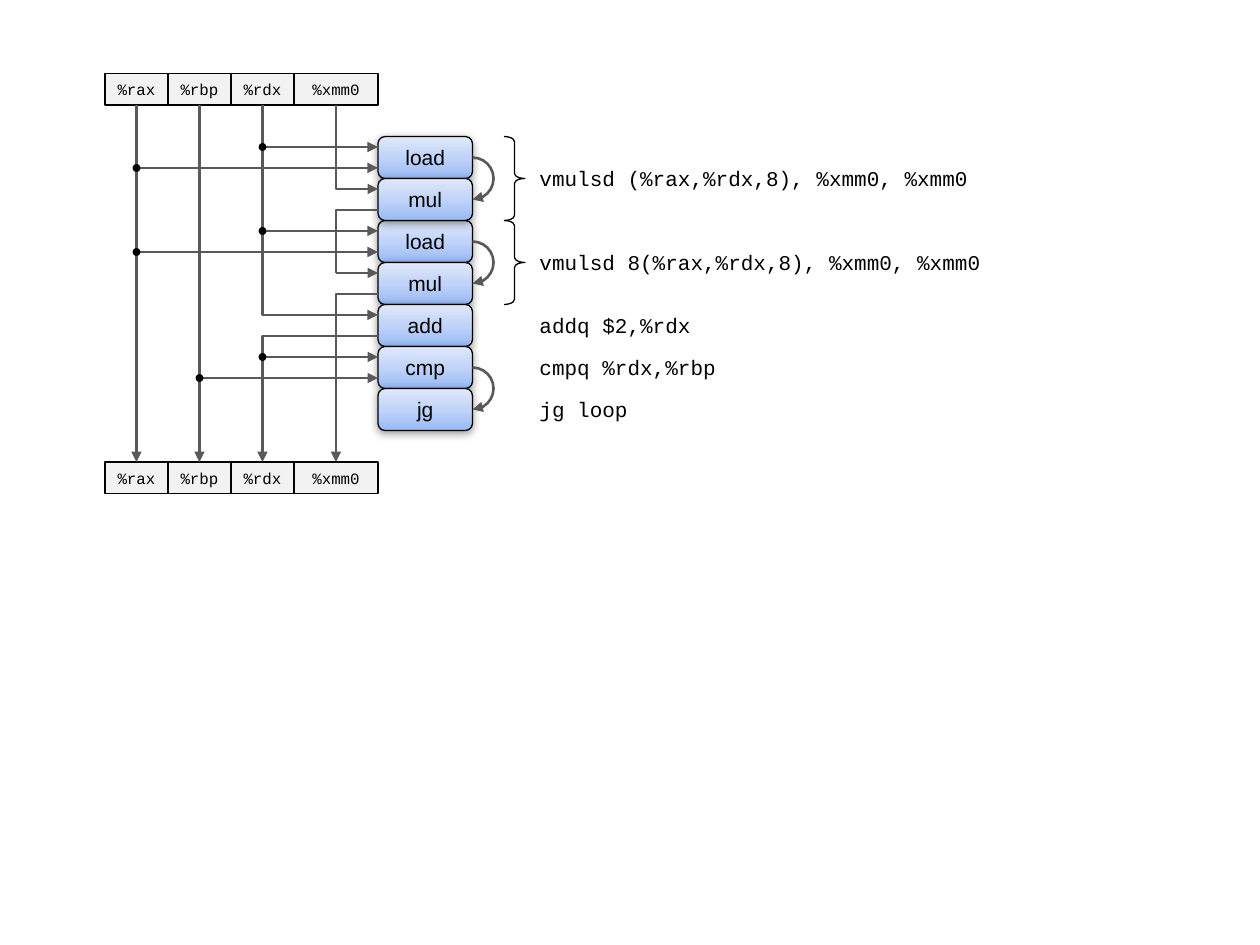
from dataclasses import dataclass

from lxml import etree
from pptx import Presentation
from pptx.dml.color import RGBColor
from pptx.enum.shapes import MSO_CONNECTOR, MSO_SHAPE
from pptx.enum.text import MSO_ANCHOR, PP_ALIGN
from pptx.oxml.ns import qn
from pptx.util import Emu, Pt

RECT, ROUND = MSO_SHAPE.RECTANGLE, MSO_SHAPE.ROUNDED_RECTANGLE
OVAL, ARC, BRACE = MSO_SHAPE.OVAL, MSO_SHAPE.ARC, MSO_SHAPE.RIGHT_BRACE
STRAIGHT, ELBOW = MSO_CONNECTOR.STRAIGHT, MSO_CONNECTOR.ELBOW
MIDDLE, CENTER, LEFT = MSO_ANCHOR.MIDDLE, PP_ALIGN.CENTER, PP_ALIGN.LEFT
BOTTOM_SITE, TOP_SITE = 2, 0

SCALE = 9525  # EMU per px, 96 px to the inch
COLORS = {"ink": "000000", "wire": "595959", "register": "F2F2F2"}
GRADIENT = {0: "98BAF6", 50: "C0D3F8", 100: "E0E9FB"}
MONO, SANS = "Courier New", "Arial"

TOP_Y, BOTTOM_Y, REG_H = 56, 352, 24
OP_X, OP_Y, OP_W, OP_H = 288, 104, 72, 32
OPS = ["load", "mul", "load", "mul", "add", "cmp", "jg"]
ARC_ROWS = [0, 2, 5]
BRACE_ROWS = [0, 2]
CODE_X = 400


@dataclass(frozen=True)
class Register:
    name: str
    x: int
    w: int

    @property
    def mid(self) -> int:
        return self.x + self.w // 2


@dataclass(frozen=True)
class Wire:
    """An elbow between the operation column at op_y and a register at reg_y."""
    reg: str
    reg_y: int
    op_y: int
    arrow: str = ""


@dataclass(frozen=True)
class Code:
    text: str
    y: int
    w: int


REGISTERS = [Register("%rax", 80, 48), Register("%rbp", 128, 48),
             Register("%rdx", 176, 48), Register("%xmm0", 224, 64)]
MID = {reg.name: reg.mid for reg in REGISTERS}
WIRES = [
    Wire("%rax", 80, 128, "headEnd"), Wire("%rax", 128, 192, "headEnd"),
    Wire("%rdx", 80, 112, "headEnd"), Wire("%rdx", 80, 176, "headEnd"),
    Wire("%rdx", 144, 240, "headEnd"), Wire("%xmm0", 80, 144, "headEnd"),
    Wire("%xmm0", 208, 160),
    Wire("%xmm0", BOTTOM_Y, 224, "tailEnd"), Wire("%rdx", BOTTOM_Y, 256, "tailEnd"),
]
BRANCHES = [("%xmm0", 208), ("%rdx", 272), ("%rbp", 288)]
DOTS = [("%rdx", 112), ("%rax", 128), ("%rdx", 176), ("%rax", 192),
        ("%rdx", 272), ("%rbp", 288)]
CODES = [Code("vmulsd (%rax,%rdx,8), %xmm0, %xmm0", 120, 352),
         Code("vmulsd 8(%rax,%rdx,8), %xmm0, %xmm0", 184, 368),
         Code("addq $2,%rdx", 232, 264), Code("cmpq %rdx,%rbp", 264, 264),
         Code("jg loop", 296, 264)]


def px(n: int) -> Emu:
    return Emu(n * SCALE)


def rgb(name: str) -> RGBColor:
    return RGBColor.from_string(COLORS[name])


def add_box(slide, kind, x: int, y: int, w: int, h: int,
            fill: str = "", line: float = 0, color: str = "ink"):
    sp = slide.shapes.add_shape(kind, px(x), px(y), px(w), px(h))
    sp.shadow.inherit = False
    if fill:
        sp.fill.solid()
        sp.fill.fore_color.rgb = rgb(fill)
    else:
        sp.fill.background()
    if line:
        sp.line.width = Pt(line)
        sp.line.color.rgb = rgb(color)
    else:
        sp.line.fill.background()
    return sp


def write(sp, text: str, size: int, font: str, align=CENTER) -> None:
    tf = sp.text_frame
    tf.word_wrap = align == LEFT
    tf.vertical_anchor = MIDDLE
    tf.margin_top = tf.margin_bottom = 0
    if align == CENTER:
        tf.margin_left = tf.margin_right = 0
    p = tf.paragraphs[0]
    p.alignment = align
    r = p.add_run()
    r.text = text
    r.font.size, r.font.name = Pt(size), font
    r.font.color.rgb = rgb("ink")


def add_arrowhead(sp, end: str) -> None:
    etree.SubElement(sp.line._get_or_add_ln(), qn(f"a:{end}"), type="triangle")


def add_wire(slide, kind, x1: int, y1: int, x2: int, y2: int, arrow: str):
    cxn = slide.shapes.add_connector(kind, px(x1), px(y1), px(x2), px(y2))
    cxn.line.width = Pt(1.5)
    cxn.line.color.rgb = rgb("wire")
    if arrow:
        add_arrowhead(cxn, arrow)
    sp_pr = cxn._element.spPr
    etree.SubElement(sp_pr, qn("a:effectLst"))
    if kind == ELBOW:
        sp_pr.find(qn("a:prstGeom")).set("prst", "bentConnector2")
    return cxn


def add_registers(slide, y: int) -> dict:
    boxes = {}
    for reg in REGISTERS:
        sp = add_box(slide, RECT, reg.x, y, reg.w, REG_H, "register", 1)
        write(sp, reg.name, 9, MONO)
        boxes[reg.name] = sp
    return boxes


def add_operation(slide, row: int) -> None:
    sp = add_box(slide, ROUND, OP_X, OP_Y + row * OP_H, OP_W, OP_H, line=0.75)
    sp.fill.gradient()
    sp.fill.gradient_angle = 90
    sp_pr = sp._element.spPr
    stops = sp_pr.find(f".//{qn('a:gsLst')}")
    for stop in list(stops):
        stops.remove(stop)
    for pos, color in GRADIENT.items():
        stop = etree.SubElement(stops, qn("a:gs"), pos=str(pos * 1000))
        etree.SubElement(stop, qn("a:srgbClr"), val=color)
    shadow = etree.SubElement(sp_pr.find(qn("a:effectLst")), qn("a:outerShdw"),
                              blurRad=str(Pt(5)), dist=str(Pt(1.6)), dir="5400000",
                              algn="t", rotWithShape="0")
    black = etree.SubElement(shadow, qn("a:srgbClr"), val=COLORS["ink"])
    etree.SubElement(black, qn("a:alpha"), val="38000")
    write(sp, OPS[row], 12, SANS)


def main() -> None:
    prs = Presentation()
    prs.slide_width, prs.slide_height = px(960), px(720)
    slide = prs.slides.add_slide(prs.slide_layouts[6])

    before, after = add_registers(slide, TOP_Y), add_registers(slide, BOTTOM_Y)
    for row in (2, 3, 4, 5, 6, 0, 1):  # the first pair casts its shadow on the next
        add_operation(slide, row)

    for name in ("%rax", "%rbp"):
        cxn = add_wire(slide, STRAIGHT, MID[name], TOP_Y + REG_H,
                       MID[name], BOTTOM_Y, "tailEnd")
        cxn.begin_connect(before[name], BOTTOM_SITE)
        cxn.end_connect(after[name], TOP_SITE)
    for wire in WIRES:
        add_wire(slide, ELBOW, OP_X, wire.op_y, MID[wire.reg], wire.reg_y, wire.arrow)
    for name, y in BRANCHES:
        add_wire(slide, STRAIGHT, MID[name], y, OP_X, y, "tailEnd")
    for name, y in DOTS:
        add_box(slide, OVAL, MID[name] - 3, y - 3, 6, 6, "ink")

    for row in BRACE_ROWS:
        sp = add_box(slide, BRACE, 384, OP_Y + row * OP_H, 16, 2 * OP_H, line=0.75)
        sp.adjustments[0] = 0.24
    for code in CODES:
        sp = add_box(slide, ROUND, CODE_X, code.y, code.w, OP_H)
        write(sp, code.text, 12, MONO, LEFT)
    for row in ARC_ROWS:
        sp = add_box(slide, ARC, 344, OP_Y + 16 + row * OP_H, 32, 32,
                     line=1.5, color="wire")
        sp.adjustments[0], sp.adjustments[1] = 162, 54
        add_arrowhead(sp, "tailEnd")

    prs.save("out.pptx")


if __name__ == "__main__":
    main()
